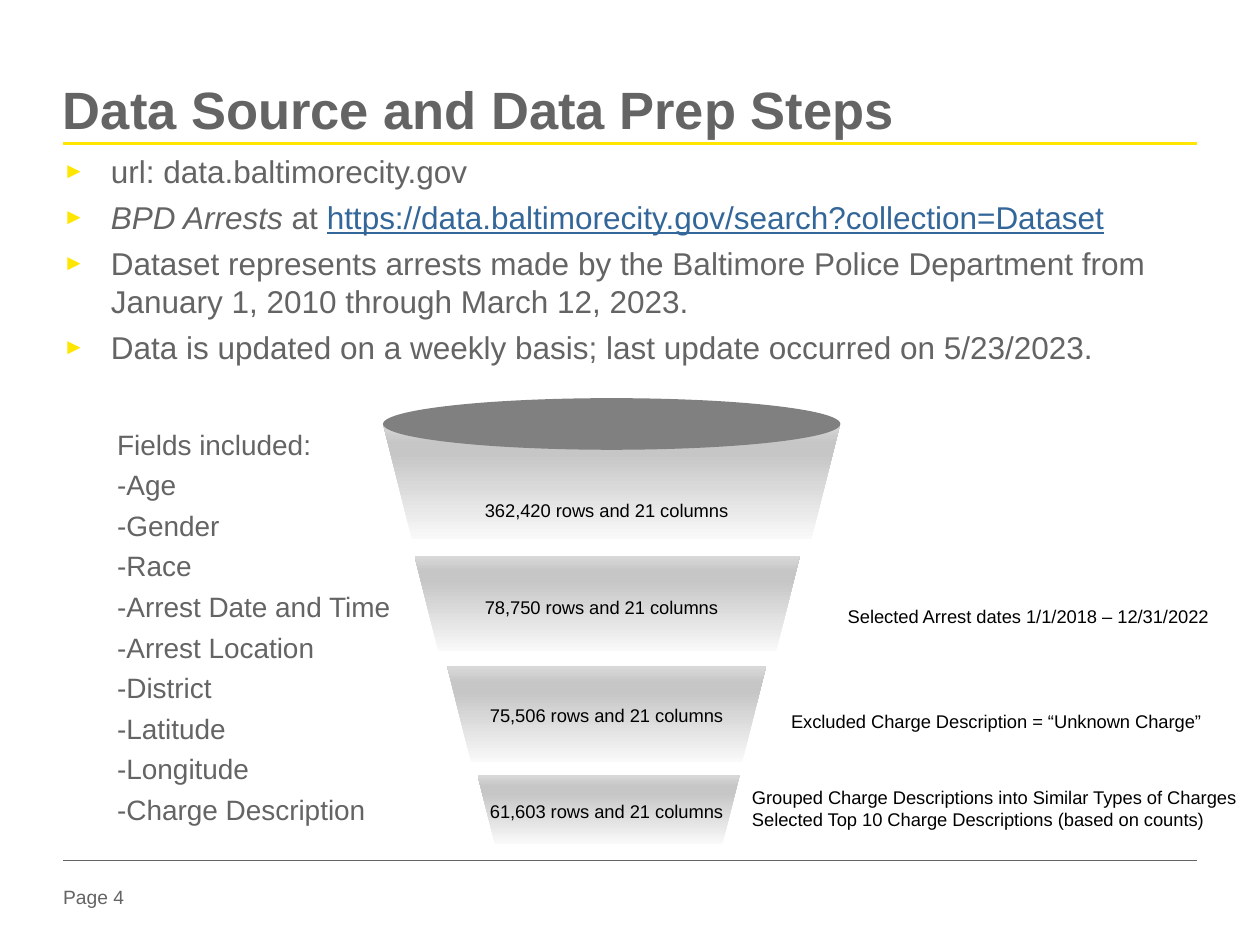
from lxml import etree
from pptx import Presentation
from pptx.dml.color import RGBColor
from pptx.enum.shapes import MSO_CONNECTOR, MSO_SHAPE
from pptx.enum.text import MSO_ANCHOR
from pptx.oxml import parse_xml
from pptx.oxml.ns import nsdecls, qn
from pptx.util import Inches, Pt

STRAIGHT = MSO_CONNECTOR.STRAIGHT
TRAPEZOID, ELLIPSE = MSO_SHAPE.TRAPEZOID, MSO_SHAPE.OVAL
TOP, MIDDLE = MSO_ANCHOR.TOP, MSO_ANCHOR.MIDDLE

FONT = "Arial"
COLORS = {"text": "646464", "accent": "FFE600", "link": "336699",
          "label": "000000", "rim": "808080"}
FUNNEL_GRADIENT = [(0, "F9F9F9"), (74, "C6C6C6"), (83, "C6C6C6"), (100, "D9D9D9")]

TITLE = "Data Source and Data Prep Steps"
PAGE = "Page 4"

# A paragraph is a string, or a list of (text, run format) pairs.
SOURCE_FACTS = [
    "url: data.baltimorecity.gov",
    [("BPD Arrests ", {"italic": True}),
     ("at ", {}),
     ("https://data.baltimorecity.gov/search?collection=Dataset",
      {"color": "link", "underline": True})],
    "Dataset represents arrests made by the Baltimore Police Department from "
    "January 1, 2010 through March 12, 2023.",
    "Data is updated on a weekly basis; last update occurred on 5/23/2023.",
]
FIELDS = ["Fields included:", "-Age", "-Gender", "-Race", "-Arrest Date and Time",
          "-Arrest Location", "-District", "-Latitude", "-Longitude",
          "-Charge Description"]

# Funnel stages: (left, top, width, height)
STAGES = [(3.04, 3.36, 3.63, 0.92), (3.29, 4.41, 3.06, 0.76),
          (3.55, 5.29, 2.53, 0.76), (3.79, 6.15, 2.08, 0.55)]
FUNNEL_RIM = (3.04, 3.16, 3.63, 0.41)

# Labels: (left, top, width, height), lines
LABELS = [
    ((3.75, 3.91, 2.2, 0.28), ["362,420 rows and 21 columns"]),
    ((3.75, 4.68, 2.2, 0.28), ["78,750 rows and 21 columns"]),
    ((3.79, 5.54, 2.2, 0.28), ["75,506 rows and 21 columns"]),
    ((3.79, 6.3, 2.2, 0.28), ["61,603 rows and 21 columns"]),
    ((6.63, 4.75, 3.24, 0.28), ["Selected Arrest dates 1/1/2018 – 12/31/2022"]),
    ((6.18, 5.59, 3.6, 0.28), ["Excluded Charge Description = “Unknown Charge”"]),
    ((5.87, 6.19, 4.1, 0.45),
     ["Grouped Charge Descriptions into Similar Types of Charges",
      "Selected Top 10 Charge Descriptions (based on counts)"]),
]


def rgb(name):
    return RGBColor.from_string(COLORS[name])


def add_bullet(paragraph, indent=0.38):
    props = paragraph._p.get_or_add_pPr()
    props.set("marL", str(Inches(indent)))
    props.set("indent", str(-Inches(indent)))
    color = etree.SubElement(props, qn("a:buClr"))
    etree.SubElement(color, qn("a:srgbClr"), val=COLORS["accent"])
    etree.SubElement(props, qn("a:buSzPct"), val="70000")
    etree.SubElement(props, qn("a:buFont"), typeface=FONT)
    etree.SubElement(props, qn("a:buChar"), char="►")


def add_text(slide, box, paragraphs, size, color="text", bold=False, gap=0,
             bullets=False, inset=True, wrap=True, anchor=TOP):
    frame = slide.shapes.add_textbox(*map(Inches, box)).text_frame
    frame.word_wrap = wrap
    frame.vertical_anchor = anchor
    if not inset:
        frame.margin_left = frame.margin_right = 0
        frame.margin_top = frame.margin_bottom = 0
    for index, content in enumerate(paragraphs):
        paragraph = frame.add_paragraph() if index else frame.paragraphs[0]
        if bullets:
            add_bullet(paragraph)
        if index and gap:
            paragraph.space_before = Pt(gap)
        runs = [(content, {})] if isinstance(content, str) else content
        for text, style in runs:
            run = paragraph.add_run()
            run.text = text
            font = run.font
            font.name, font.size, font.bold = FONT, Pt(size), bold
            font.italic = style.get("italic", False)
            font.underline = style.get("underline", False)
            font.color.rgb = rgb(style.get("color", color))


def add_rule(slide, y, color, weight):
    line = slide.shapes.add_connector(STRAIGHT, Inches(0.5), Inches(y),
                                      Inches(9.5), Inches(y))
    line.line.color.rgb = rgb(color)
    line.line.width = Pt(weight)
    etree.SubElement(line._element.spPr, qn("a:effectLst"))


def add_plain_shape(slide, kind, box):
    shape = slide.shapes.add_shape(kind, *map(Inches, box))
    shape.shadow.inherit = False
    shape.line.fill.background()
    return shape


def add_stage(slide, box):
    """Add a funnel section: a trapezoid, wide side up, with a vertical gradient."""
    shape = add_plain_shape(slide, TRAPEZOID, box)
    props = shape._element.spPr
    props.find(qn("a:xfrm")).set("flipV", "1")
    stops = "".join(f'<a:gs pos="{pos * 1000}"><a:srgbClr val="{color}"/></a:gs>'
                    for pos, color in FUNNEL_GRADIENT)
    props.find(qn("a:prstGeom")).addnext(parse_xml(
        f'<a:gradFill {nsdecls("a")} rotWithShape="1"><a:gsLst>{stops}</a:gsLst>'
        '<a:lin ang="5400000" scaled="0"/></a:gradFill>'))


def main():
    prs = Presentation()
    prs.slide_width, prs.slide_height = Inches(10), Inches(7.5)
    slide = prs.slides.add_slide(prs.slide_layouts[6])

    add_rule(slide, 1.14, "accent", 1.5)
    add_rule(slide, 6.83, "text", 0.25)
    add_text(slide, (0.5, 7.01, 0.79, 0.22), [PAGE], 11, inset=False, anchor=MIDDLE)
    add_text(slide, (0.5, 0.61, 9, 0.53), [TITLE], 30, bold=True, inset=False)
    add_text(slide, (0.5, 1.21, 9.18, 1.95), SOURCE_FACTS, 18, gap=4.6,
             bullets=True, inset=False)
    add_text(slide, (0.93, 3.39, 2.36, 3.29), FIELDS, 16, gap=4, inset=False)

    for box in STAGES:
        add_stage(slide, box)
    rim = add_plain_shape(slide, ELLIPSE, FUNNEL_RIM)
    rim.fill.solid()
    rim.fill.fore_color.rgb = rgb("rim")
    for box, lines in LABELS:
        add_text(slide, box, lines, 10.5, color="label", wrap=False)

    prs.save("out.pptx")


if __name__ == "__main__":
    main()
